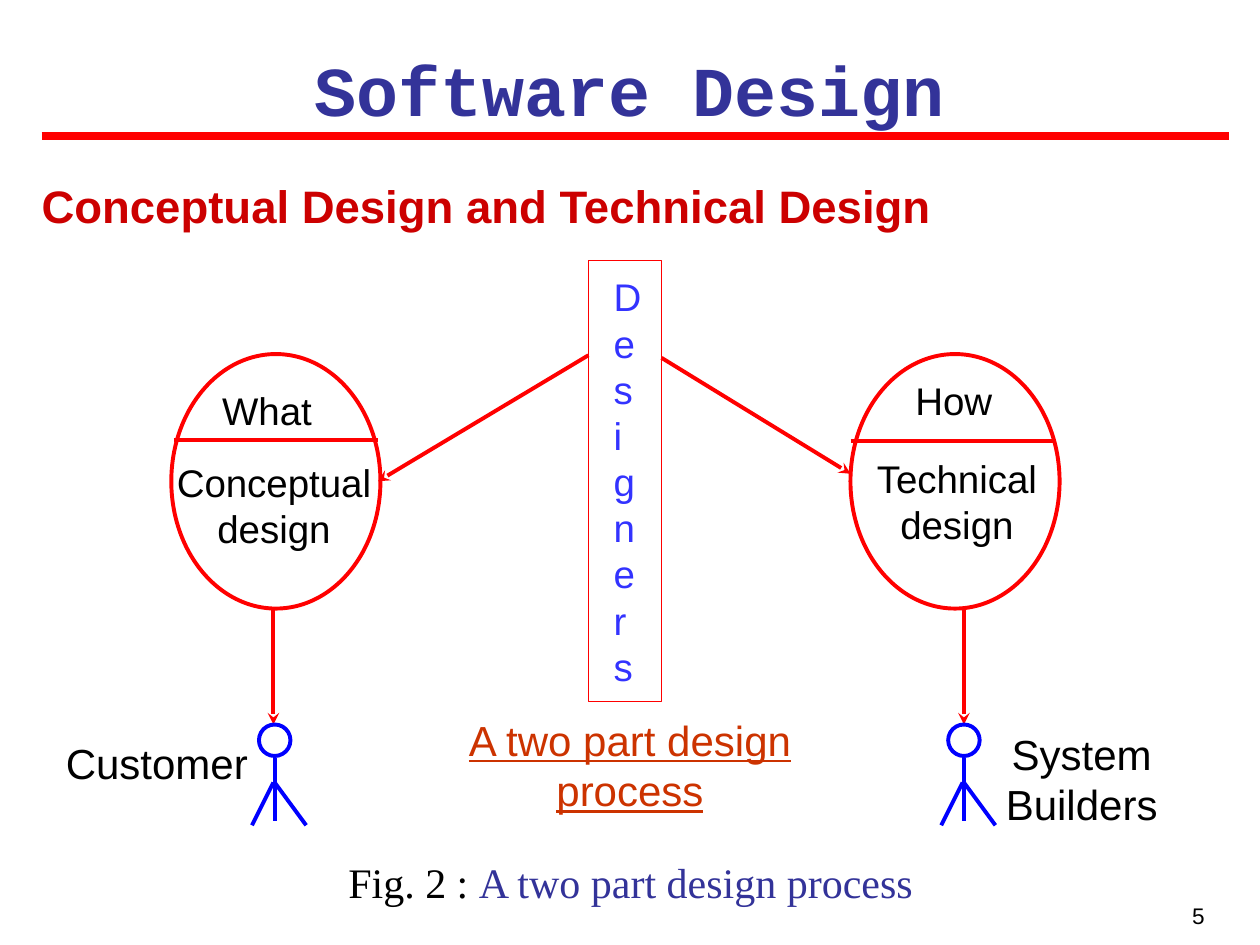
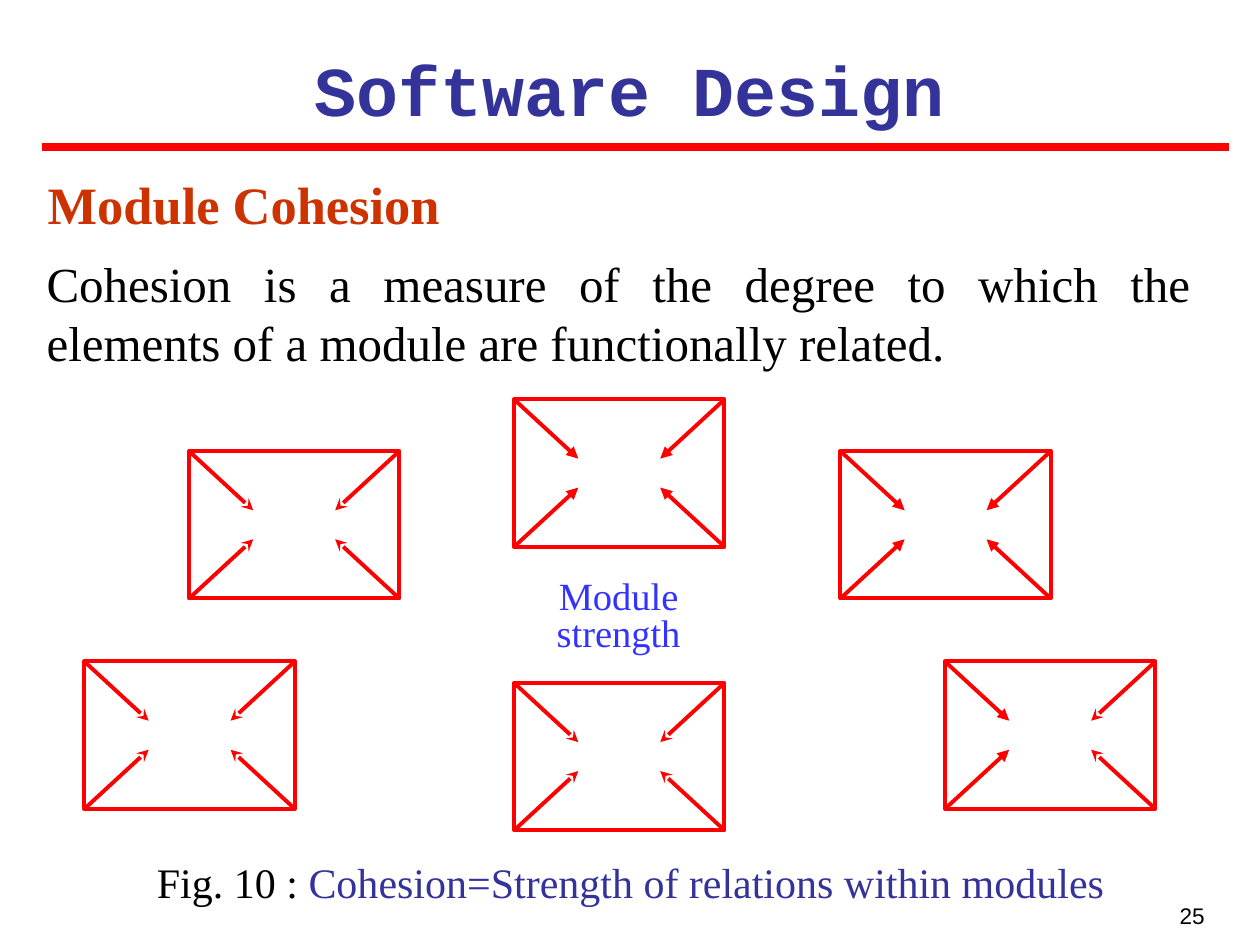
from lxml.etree import SubElement
from pptx import Presentation
from pptx.dml.color import RGBColor
from pptx.enum.shapes import MSO_CONNECTOR, MSO_SHAPE
from pptx.enum.text import MSO_ANCHOR, PP_ALIGN
from pptx.oxml.ns import qn
from pptx.util import Inches, Pt

# Shared look
COLOURS = {"red": "FF0000", "crimson": "CC0000", "rust": "CC3300", "navy": "333399",
           "blue": "0000FF", "violet": "3333FF", "black": "000000"}
SANS, SERIF, MONO = "Arial", "Times New Roman", "Courier New"
ALIGN = {"left": PP_ALIGN.LEFT, "center": PP_ALIGN.CENTER,
         "right": PP_ALIGN.RIGHT, "justify": PP_ALIGN.JUSTIFY}
PADDED = (0.1, 0.05)
TITLE = "Software Design"

# Conceptual and technical design: ellipse left, divider y, labels (text, left, top, width)
STAGES = [
    {"left": 1.36, "divider": (1.38, 3.49),
     "labels": [("What", 1.62, 3.07, 1), ("Conceptual design", 1.26, 3.64, 1.83)],
     "arrow_x": 2.17, "person_x": 2.18,
     "role": ("Customer", 0.33, 5.85), "designer_arrow": ((4.67, 2.82), (3, 3.82))},
    {"left": 6.75, "divider": (6.75, 3.5),
     "labels": [("How", 7.07, 2.99, 1), ("Technical design", 6.68, 3.61, 1.83)],
     "arrow_x": 7.65, "person_x": 7.65,
     "role": ("System Builders", 7.67, 5.78), "designer_arrow": ((5.25, 2.84), (6.75, 3.76))},
]
STAGE_TOP, STAGE_WIDTH, STAGE_HEIGHT, DIVIDER_WIDTH = 2.81, 1.66, 2.02, 1.62
PERSON_TOP, HEAD_SIZE = 5.75, 0.25

# Modules: left, top, arrowheads on the left side and on the right side
MODULES = [
    (6.67, 3.58, "triangle", "triangle"), (4.08, 3.17, "triangle", "triangle"),
    (7.5, 5.25, "triangle", "stealth"), (1.5, 3.58, "stealth", "stealth"),
    (0.67, 5.25, "stealth", "stealth"), (4.08, 5.42, "stealth", "stealth"),
]
MODULE_WIDTH, MODULE_HEIGHT = 1.67, 1.17
REACH_X, REACH_Y = 0.51, 0.47


def colour(name):
    return RGBColor.from_string(COLOURS[name])


def write(frame, text, *, size, font=SANS, ink="black", bold=False, underline=False,
          align="left", spacing=None, inset=(0, 0)):
    """Fill a text frame; text is a string or a list of (string, colour) spans."""
    frame.word_wrap = True
    frame.vertical_anchor = MSO_ANCHOR.TOP
    frame.margin_left = frame.margin_right = Inches(inset[0])
    frame.margin_top = frame.margin_bottom = Inches(inset[1])
    para = frame.paragraphs[0]
    para.alignment = ALIGN[align]
    if spacing:
        para.line_spacing = spacing
    for words, span_ink in [(text, ink)] if isinstance(text, str) else text:
        span = para.add_run()
        span.text = words
        span.font.size, span.font.name = Pt(size), font
        span.font.bold, span.font.underline = bold, underline
        span.font.color.rgb = colour(span_ink)


def add_text(page, text, left, top, width, height, **style):
    box = page.shapes.add_textbox(Inches(left), Inches(top), Inches(width), Inches(height))
    write(box.text_frame, text, **style)


def add_outline(page, kind, left, top, width, height, ink="red", weight=2.25):
    shape = page.shapes.add_shape(kind, Inches(left), Inches(top), Inches(width), Inches(height))
    shape.shadow.inherit = False
    shape.fill.background()
    shape.line.color.rgb = colour(ink)
    shape.line.width = Pt(weight)
    return shape


def add_line(page, start, end, ink="red", weight=2.25, arrowhead=None):
    line = page.shapes.add_connector(MSO_CONNECTOR.STRAIGHT, *map(Inches, start + end))
    line.line.color.rgb = colour(ink)
    line.line.width = Pt(weight)
    if arrowhead:
        SubElement(line.line._get_or_add_ln(), qn("a:tailEnd"), type=arrowhead)
    SubElement(line._element.spPr, qn("a:effectLst"))


def add_page(deck, number, rule_y, caption):
    """Start a page with the title, red rule, figure caption and page number."""
    page = deck.slides.add_slide(deck.slide_layouts[6])
    add_line(page, (0.33, rule_y), (9.75, rule_y), weight=4.5)
    add_text(page, TITLE, 0.33, 0.32, 9.33, 0.77, size=40, font=MONO, ink="navy",
             bold=True, align="center", inset=PADDED)
    label, description = caption
    add_text(page, [(label, "black"), (description, "navy")], 0.42, 6.75, 9.17, 0.5,
             size=24, font=SERIF, align="center", inset=PADDED)
    add_text(page, str(number), 7.33, 7.11, 2.33, 0.33, size=12.9, align="right", inset=PADDED)
    return page


def add_person(page, x):
    add_outline(page, MSO_SHAPE.OVAL, x - HEAD_SIZE / 2, PERSON_TOP, HEAD_SIZE, HEAD_SIZE, "blue")
    hip_y, foot_y = PERSON_TOP + 0.46, PERSON_TOP + 0.8
    limbs = [((x, PERSON_TOP + 0.27), (x, PERSON_TOP + 0.77)),
             ((x - 0.01, hip_y), (x - 0.18, foot_y)),
             ((x, hip_y), (x + 0.25, foot_y))]
    for start, end in limbs:
        add_line(page, start, end, "blue")


def add_stage(page, stage):
    add_outline(page, MSO_SHAPE.OVAL, stage["left"], STAGE_TOP, STAGE_WIDTH, STAGE_HEIGHT)
    x, y = stage["divider"]
    add_line(page, (x, y), (x + DIVIDER_WIDTH, y))
    for text, left, top, width in stage["labels"]:
        add_text(page, text, left, top, width, 0.73 if " " in text else 0.37,
                 size=22, align="center")
    add_line(page, *stage["designer_arrow"], arrowhead="stealth")
    add_line(page, (stage["arrow_x"], STAGE_TOP + STAGE_HEIGHT),
             (stage["arrow_x"], PERSON_TOP), arrowhead="stealth")
    add_person(page, stage["person_x"])
    role, left, top = stage["role"]
    add_text(page, role, left, top, 1.83, 0.8 if " " in role else 0.4, size=24, align="center")


def add_module(page, left, top, left_head, right_head):
    """Draw a box with an arrow from each corner towards the middle."""
    add_outline(page, MSO_SHAPE.RECTANGLE, left, top, MODULE_WIDTH, MODULE_HEIGHT)
    for x, step_x, head in ((left, REACH_X, left_head),
                            (left + MODULE_WIDTH, -REACH_X, right_head)):
        for y, step_y in ((top, REACH_Y), (top + MODULE_HEIGHT, -REACH_Y)):
            add_line(page, (x, y), (x + step_x, y + step_y), arrowhead=head)


def build_design_page(deck):
    page = add_page(deck, 5, 1.08, ("Fig. 2 : ", "A two part design process"))
    add_text(page, "Conceptual Design and Technical Design", 0.33, 1.53, 8.33, 0.3,
             size=26, ink="crimson", bold=True, spacing=0.7)
    designers = add_outline(page, MSO_SHAPE.RECTANGLE, 4.67, 2.07, 0.58, 3.5, weight=0.75)
    write(designers.text_frame, "Designers", size=22, ink="violet", inset=(0.2, 0.1))
    for stage in STAGES:
        add_stage(page, stage)
    add_text(page, "A two part design process", 3.5, 5.67, 3, 0.8, size=24, ink="rust",
             underline=True, align="center")


def build_cohesion_page(deck):
    page = add_page(deck, 25, 1.17,
                    ("Fig. 10 : ", "Cohesion=Strength of relations within modules"))
    add_text(page, "Module Cohesion", 0.28, 1.32, 9.38, 0.6, size=30, font=SERIF, ink="rust",
             bold=True, align="justify", inset=PADDED)
    add_text(page, "Cohesion is a measure of the degree to which the elements of a module "
             "are functionally related.", 0.37, 2.01, 9.08, 0.93, size=28, font=SERIF,
             align="justify")
    for module in MODULES:
        add_module(page, *module)
    add_text(page, "Module strength", 3.91, 4.56, 2, 0.69, size=22, font=SERIF, ink="violet",
             align="center", spacing=0.8, inset=PADDED)


def main():
    deck = Presentation()
    deck.slide_width, deck.slide_height = Inches(10), Inches(7.5)
    build_design_page(deck)
    build_cohesion_page(deck)
    deck.save("out.pptx")


if __name__ == "__main__":
    main()
